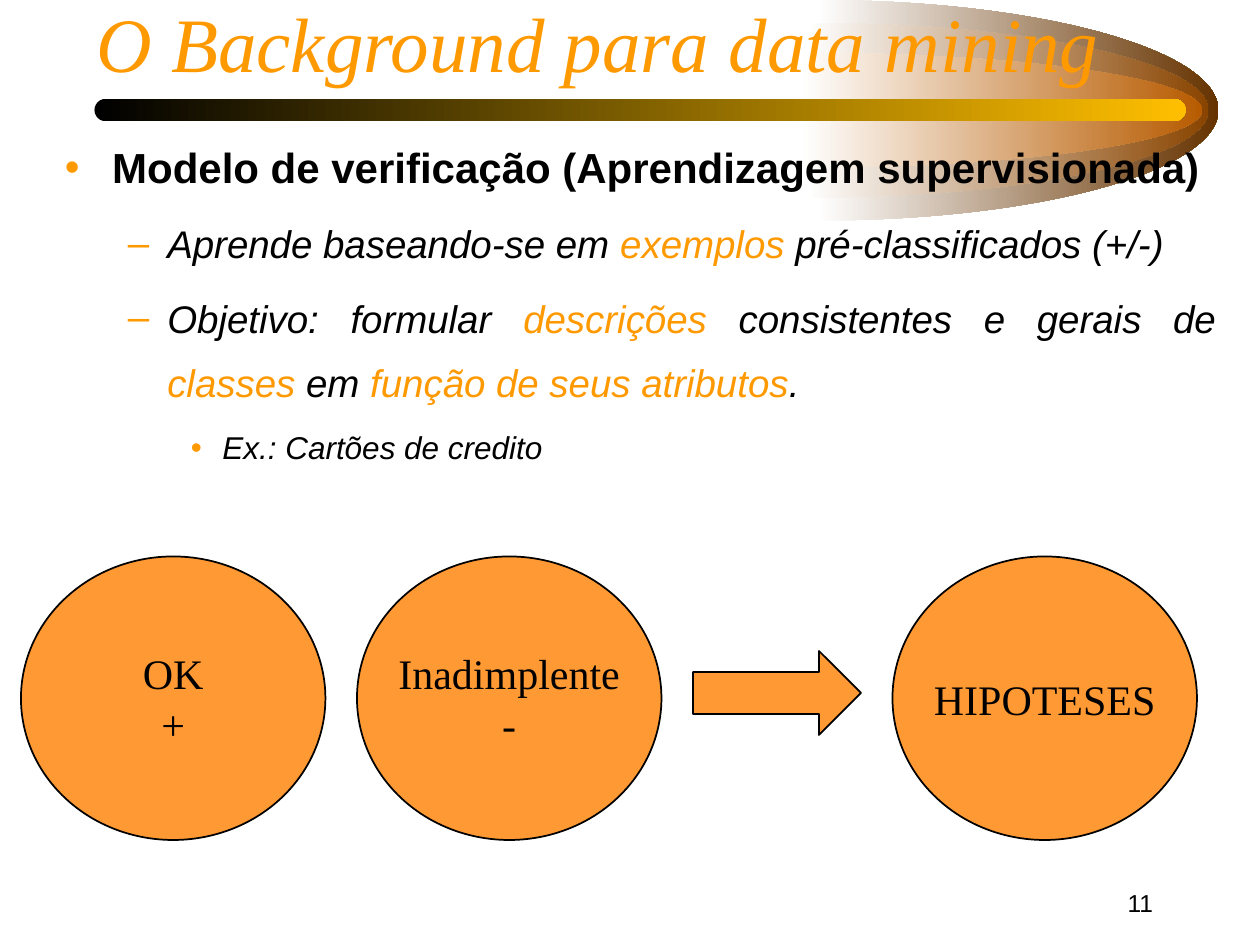
from dataclasses import dataclass

from lxml import etree
from pptx import Presentation
from pptx.dml.color import RGBColor
from pptx.enum.shapes import MSO_SHAPE
from pptx.enum.text import MSO_ANCHOR, MSO_AUTO_SIZE, PP_ALIGN
from pptx.oxml.ns import qn
from pptx.util import Pt

LEFT, CENTER, RIGHT, JUSTIFY = PP_ALIGN.LEFT, PP_ALIGN.CENTER, PP_ALIGN.RIGHT, PP_ALIGN.JUSTIFY
TOP, MIDDLE, BOTTOM = MSO_ANCHOR.TOP, MSO_ANCHOR.MIDDLE, MSO_ANCHOR.BOTTOM
OVAL, ARROW, PILL = MSO_SHAPE.OVAL, MSO_SHAPE.RIGHT_ARROW, MSO_SHAPE.ROUNDED_RECTANGLE
NO_AUTOFIT = MSO_AUTO_SIZE.NONE


@dataclass(frozen=True)
class Theme:
    accent: str = "FF9900"
    shape_fill: str = "FF9933"
    ink: str = "000000"
    white: str = "FFFFFF"
    bar_end: str = "FFBF00"
    glow_ends: tuple = ("663300", "894400", "B75B00")
    sans: str = "Arial"
    serif: str = "Times New Roman"
    title_size: int = 44
    level_sizes: tuple = (24, 22, 18)
    node_size: int = 24
    number_size: int = 14


theme = Theme()


def set_font(font, face, size, color):
    font.name = face
    font.size = Pt(size)
    font.color.rgb = RGBColor.from_string(color)


def fade(shape, start, end):
    """Fill a borderless shape with a left-to-right gradient."""
    shape.shadow.inherit = False
    shape.line.fill.background()
    shape.fill.gradient()
    shape.fill.gradient_angle = 0
    for stop, color in zip(shape.fill.gradient_stops, (start, end)):
        stop.color.rgb = RGBColor.from_string(color)


prs = Presentation()
prs.slide_width, prs.slide_height = Pt(720), Pt(540)
slide = prs.slides.add_slide(prs.slide_layouts[5])
shapes = slide.shapes

# Half-ellipse glows: left, right and vertical radius, largest at the back
GLOW_MIDDLE, ARC = 63, 0.55
for (left, right, radius), end_color in zip(
        ((467.3, 696.2, 63), (461.5, 690.5, 50), (457.9, 686.9, 32.8)), theme.glow_ends):
    bulge = left + ARC * (right - left)
    outline = [(left, -radius), (bulge, -radius), (right, -ARC * radius), (right, 0),
               (right, ARC * radius), (bulge, radius), (left, radius)]
    points = [(Pt(x), Pt(GLOW_MIDDLE + y)) for x, y in outline]
    builder = shapes.build_freeform(*points[0])
    builder.add_line_segments(points[1:], close=True)
    glow = builder.convert_to_shape()
    # Each three segments become one cubic curve
    segments = list(glow.element.iter(qn("a:lnTo")))
    for first in range(0, len(segments), 3):
        curve = etree.Element(qn("a:cubicBezTo"))
        segments[first].addprevious(curve)
        for segment in segments[first:first + 3]:
            curve.append(segment[0])
            segment.getparent().remove(segment)
    fade(glow, theme.white, end_color)

title_bar = shapes.add_shape(PILL, Pt(54), Pt(56.5), Pt(623.5), Pt(12.8))
title_bar.adjustments[0] = 0.5
fade(title_bar, theme.ink, theme.bar_end)

# Page number
number_frame = shapes.add_textbox(Pt(516), Pt(498), Pt(150), Pt(36)).text_frame
number_frame.word_wrap = True
number_frame.vertical_anchor = MIDDLE
number = number_frame.paragraphs[0]
number.text = "11"
number.alignment = RIGHT
set_font(number.font, theme.sans, theme.number_size, theme.ink)

# Outline: level, then runs that alternate between plain and accented
outline_items = [
    (0, ["Modelo de verificação (Aprendizagem supervisionada)"]),
    (1, ["Aprende baseando-se em ", "exemplos", " pré-classificados (+/-)"]),
    (1, ["Objetivo: formular ", "descrições", " consistentes e gerais de ", "classes",
         " em ", "função de seus atributos", "."]),
    (2, ["Ex.: Cartões de credito"]),
]
# Per level: left margin, hanging indent, space before, bullet
levels = [(27, 27, 6, "•"), (58.5, 22.5, 5.5, "–"), (90, 18, 4.5, "•")]

body = shapes.add_textbox(Pt(30), Pt(66), Pt(672), Pt(444)).text_frame
body.word_wrap = True
body.vertical_anchor = TOP
for index, (level, texts) in enumerate(outline_items):
    item = body.add_paragraph() if index else body.paragraphs[0]
    margin, hang, before, bullet = levels[level]
    item.level = level
    item.alignment = JUSTIFY
    item.line_spacing = 1.4
    item.space_before = Pt(before)
    props = item._p.get_or_add_pPr()
    props.set("marL", str(Pt(margin)))
    props.set("indent", str(-Pt(hang)))
    bullet_color = etree.SubElement(props, qn("a:buClr"))
    etree.SubElement(bullet_color, qn("a:srgbClr"), val=theme.accent)
    etree.SubElement(props, qn("a:buFont"), typeface=theme.sans)
    etree.SubElement(props, qn("a:buChar"), char=bullet)
    set_font(item.font, theme.sans, theme.level_sizes[level], theme.ink)
    item.font.bold = level == 0
    item.font.italic = level > 0
    for position, text in enumerate(texts):
        run = item.add_run()
        run.text = text
        if position % 2:
            run.font.color.rgb = RGBColor.from_string(theme.accent)

# Title, brought in front of the glows
title = shapes.title
title.element.getparent().append(title.element)
title.left, title.top, title.width, title.height = Pt(48), Pt(0), Pt(606), Pt(54)
title_frame = title.text_frame
title_frame.text = "O Background para data mining"
title_frame.auto_size = NO_AUTOFIT
title_frame.vertical_anchor = BOTTOM
heading = title_frame.paragraphs[0]
heading.alignment = LEFT
set_font(heading.font, theme.serif, theme.title_size, theme.accent)
heading.font.italic = True

# Example classes lead to hypotheses
flow = [
    (OVAL, 204, 318, 174, 162, ["Inadimplente", "-"]),
    (OVAL, 12, 318, 174, 162, ["OK", "+"]),
    (ARROW, 396, 372, 96, 48, []),
    (OVAL, 510, 318, 174, 162, ["HIPOTESES"]),
]
for kind, left, top, width, height, labels in flow:
    node = shapes.add_shape(kind, Pt(left), Pt(top), Pt(width), Pt(height))
    node.shadow.inherit = False
    node.fill.solid()
    node.fill.fore_color.rgb = RGBColor.from_string(theme.shape_fill)
    node.line.color.rgb = RGBColor.from_string(theme.ink)
    node.line.width = Pt(1)
    if labels:
        frame = node.text_frame
        frame.text = "\n".join(labels)
        frame.word_wrap = False
        frame.vertical_anchor = MIDDLE
        for label in frame.paragraphs:
            label.alignment = CENTER
            set_font(label.font, theme.serif, theme.node_size, theme.ink)

prs.save("out.pptx")
